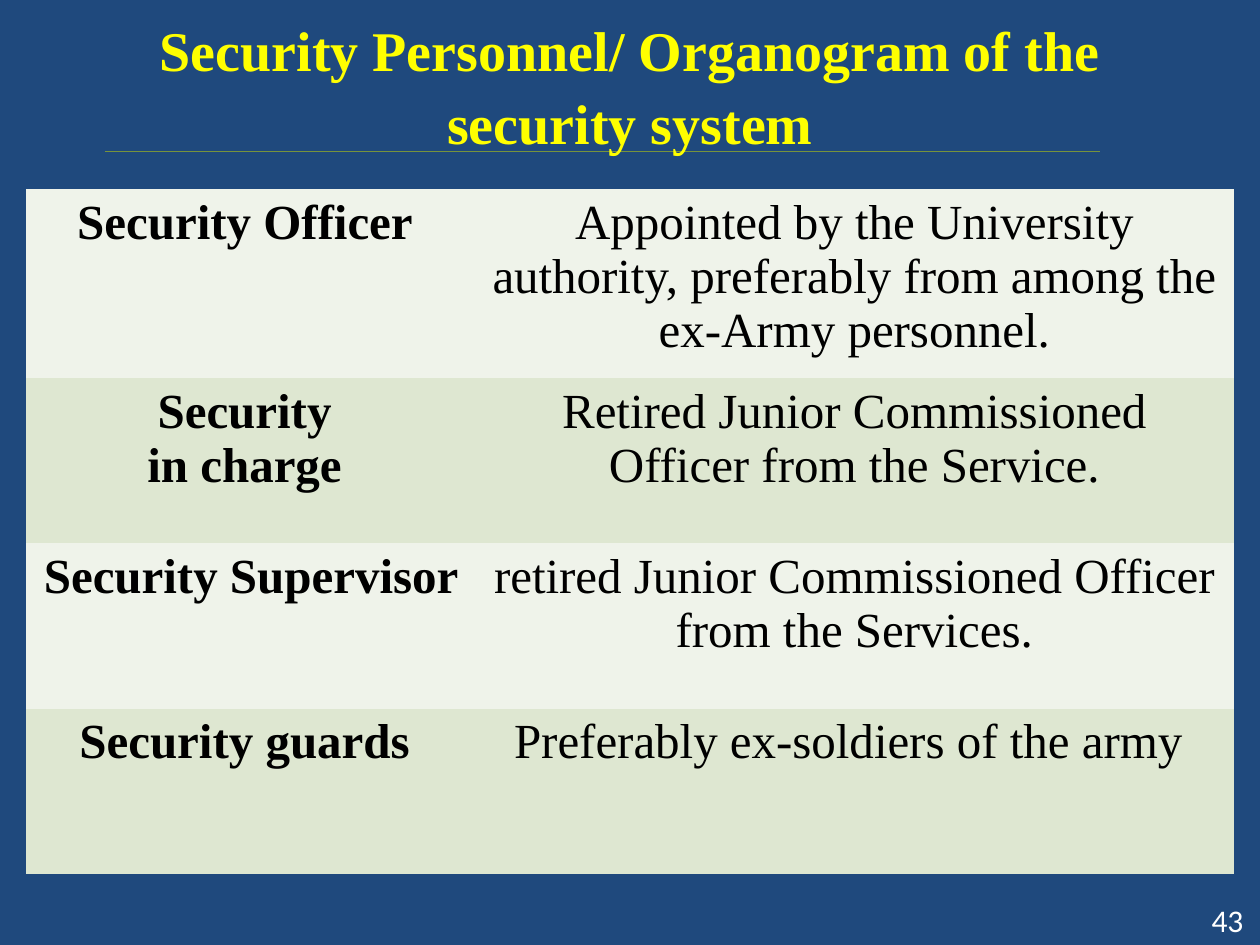
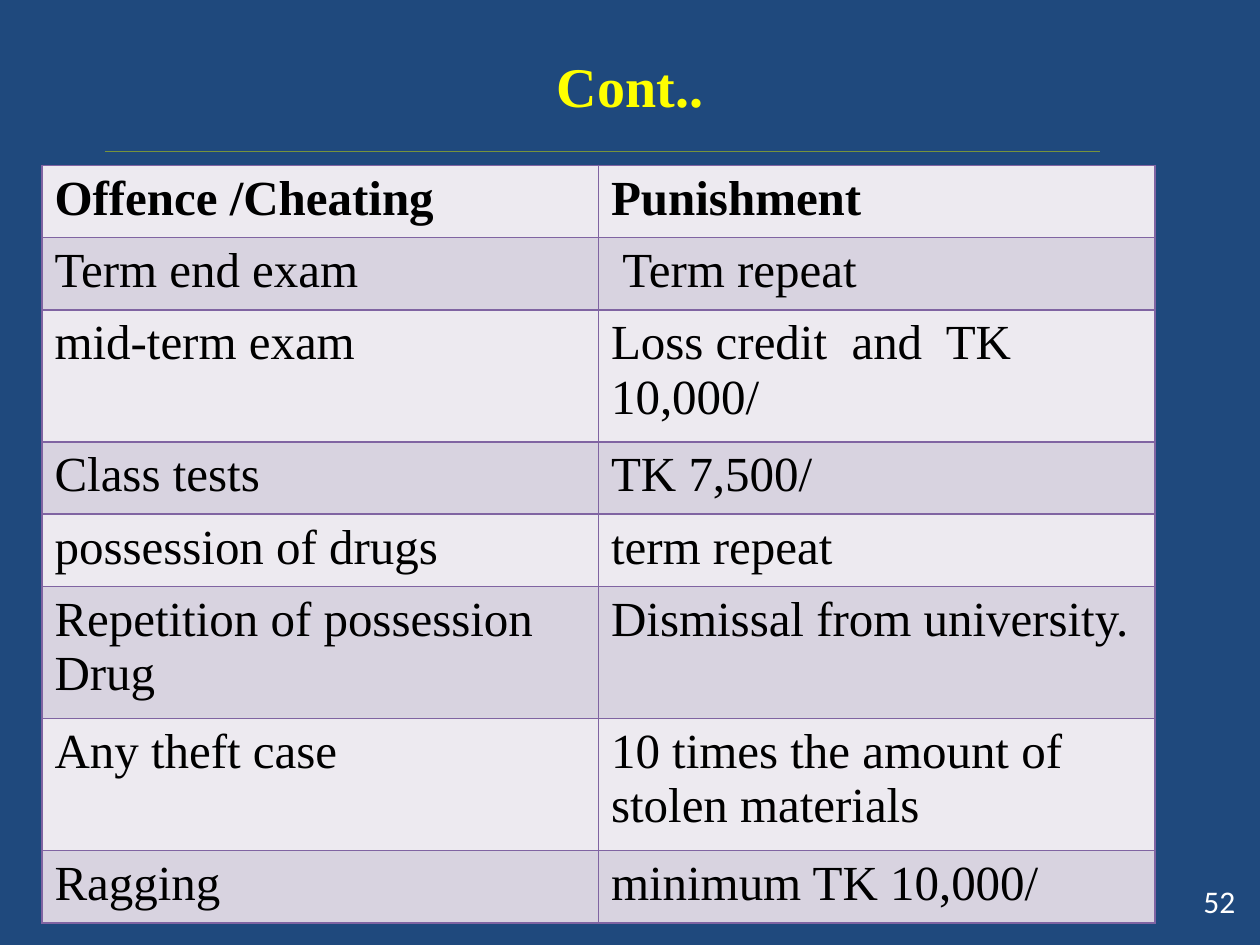
from dataclasses import dataclass
from typing import Optional

from lxml import etree
from pptx import Presentation
from pptx.dml.color import RGBColor
from pptx.enum.shapes import MSO_CONNECTOR
from pptx.enum.text import MSO_ANCHOR, PP_ALIGN
from pptx.oxml.ns import qn
from pptx.util import Pt

LEFT, CENTER, RIGHT = PP_ALIGN.LEFT, PP_ALIGN.CENTER, PP_ALIGN.RIGHT
MIDDLE = MSO_ANCHOR.MIDDLE
STRAIGHT = MSO_CONNECTOR.STRAIGHT

COLORS = {
    "background": "1F497D", "title": "FFFF00", "rule": "77933C",
    "number": "FFFFFF", "text": "000000", "border": "8064A2",
    "green_light": "EFF3EA", "green_dark": "DEE7D1",
    "purple_light": "EDEAF0", "purple_dark": "D8D3E0",
}
SERIF, SANS = "Times New Roman", "Calibri"


@dataclass
class TableSpec:
    left: float
    top: float
    columns: list[float]
    heights: list[float]
    rows: list[tuple[str, str]]
    bands: tuple[str, str]
    align: PP_ALIGN
    border: Optional[str] = None
    bold_column: Optional[int] = None
    bold_row: Optional[int] = None


@dataclass
class SlideSpec:
    title: str
    number: str
    number_left: float
    number_top: float
    table: TableSpec


def rgb(name: str) -> RGBColor:
    return RGBColor.from_string(COLORS[name])


def write(tf, text: str, *, size: float = 28, font: str = SERIF, color: str = "text",
          bold: bool = False, align=LEFT, spacing: Optional[float] = None) -> None:
    """Fill a text frame, one paragraph per line of text."""
    tf.word_wrap = True
    for i, line in enumerate(text.split("\n")):
        p = tf.add_paragraph() if i else tf.paragraphs[0]
        p.alignment = align
        p.line_spacing = spacing
        r = p.add_run()
        r.text = line
        r.font.size, r.font.name, r.font.bold = Pt(size), font, bold
        r.font.color.rgb = rgb(color)


def add_text(s, left: float, top: float, width: float, height: float,
             text: str, **style) -> None:
    tf = s.shapes.add_textbox(Pt(left), Pt(top), Pt(width), Pt(height)).text_frame
    tf.vertical_anchor = MIDDLE
    write(tf, text, **style)


def set_borders(cell, color: Optional[str]) -> None:
    """Outline a cell, or clear its outline when there is no colour."""
    tc_pr = cell._tc.get_or_add_tcPr()
    for i, side in enumerate(("lnL", "lnR", "lnT", "lnB")):
        ln = etree.Element(qn(f"a:{side}"), w=str(Pt(1)))
        if color:
            fill = etree.SubElement(ln, qn("a:solidFill"))
            etree.SubElement(fill, qn("a:srgbClr"), val=COLORS[color])
        else:
            etree.SubElement(ln, qn("a:noFill"))
        tc_pr.insert(i, ln)


def add_table(s, spec: TableSpec) -> None:
    table = s.shapes.add_table(
        len(spec.rows), len(spec.columns), Pt(spec.left), Pt(spec.top),
        Pt(sum(spec.columns)), Pt(sum(spec.heights))).table
    table.first_row = table.horz_banding = False
    for column, width in zip(table.columns, spec.columns):
        column.width = Pt(width)
    for i, (row, height) in enumerate(zip(table.rows, spec.heights)):
        row.height = Pt(height)
        for j, cell in enumerate(row.cells):
            cell.fill.solid()
            cell.fill.fore_color.rgb = rgb(spec.bands[i % 2])
            set_borders(cell, spec.border)
            write(cell.text_frame, spec.rows[i][j], align=spec.align,
                  bold=i == spec.bold_row or j == spec.bold_column)


def add_rule(s) -> None:
    line = s.shapes.add_connector(STRAIGHT, Pt(60), Pt(86.4), Pt(628.5), Pt(86.4))
    line.line.color.rgb = rgb("rule")
    line.line.width = Pt(0.75)
    etree.SubElement(line._element.spPr, qn("a:effectLst"))


def add_slide(prs, spec: SlideSpec) -> None:
    s = prs.slides.add_slide(prs.slide_layouts[6])
    s.background.fill.solid()
    s.background.fill.fore_color.rgb = rgb("background")
    add_rule(s)
    add_text(s, spec.number_left, spec.number_top, 168, 28.8, spec.number,
             size=18, font=SANS, color="number", align=RIGHT)
    add_text(s, 78, 12, 564, 70.8, spec.title,
             size=32, color="title", bold=True, align=CENTER, spacing=1.08)
    add_table(s, spec.table)


# Table contents
PERSONNEL = [
    ("Security Officer ", "Appointed by the University authority, "
     "preferably from among the ex-Army personnel."),
    ("Security \nin charge ", "Retired Junior Commissioned Officer from the Service."),
    ("Security Supervisor ", "retired Junior Commissioned Officer from the Services."),
    ("Security guards ", "Preferably ex-soldiers of the army "),
]
PUNISHMENTS = [
    ("Offence /Cheating", "Punishment"),
    ("Term end exam", " Term repeat"),
    ("mid-term exam", "Loss credit  and  TK 10,000/"),
    ("Class tests", "TK 7,500/"),
    ("possession of drugs", "term repeat"),
    ("Repetition of possession Drug", "Dismissal from university."),
    ("Any theft case", "10 times the amount of stolen materials"),
    ("Ragging", "minimum TK 10,000/"),
]
ONE_LINE, TWO_LINES = 41.3, 75.5

SLIDES = [
    SlideSpec(
        "Security Personnel/ Organogram of the security system", "43", 549.6, 511.2,
        TableSpec(15, 108, [256.5, 433.5], [94.4] * 4, PERSONNEL,
                  ("green_light", "green_dark"), CENTER, bold_column=0)),
    SlideSpec(
        "Cont..", "52", 545, 500.4,
        TableSpec(24, 94.5, [318] * 2,
                  [TWO_LINES if i in (2, 5, 6) else ONE_LINE
                   for i in range(len(PUNISHMENTS))],
                  PUNISHMENTS, ("purple_light", "purple_dark"), LEFT,
                  border="border", bold_row=0)),
]


def main() -> None:
    prs = Presentation()
    prs.slide_width, prs.slide_height = Pt(720), Pt(540)
    for spec in SLIDES:
        add_slide(prs, spec)
    prs.save("out.pptx")


if __name__ == "__main__":
    main()
